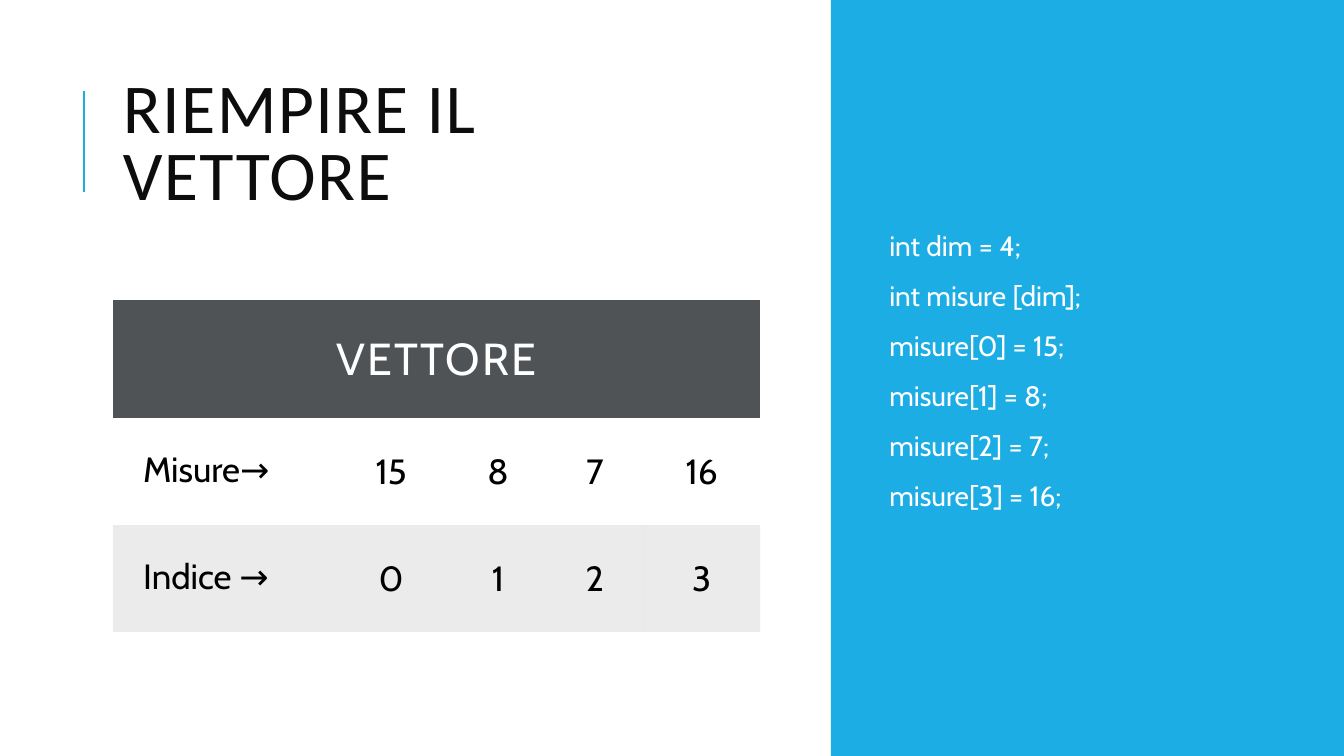
"""Build the slide "Riempire il vettore": an array table beside its code."""
from dataclasses import dataclass

from lxml import etree
from pptx import Presentation
from pptx.dml.color import RGBColor
from pptx.enum.shapes import MSO_CONNECTOR, MSO_SHAPE
from pptx.enum.text import MSO_ANCHOR, PP_ALIGN
from pptx.oxml.ns import qn
from pptx.util import Inches, Pt

STRAIGHT = MSO_CONNECTOR.STRAIGHT
RECTANGLE = MSO_SHAPE.RECTANGLE
TOP, MIDDLE = MSO_ANCHOR.TOP, MSO_ANCHOR.MIDDLE
LEFT, CENTER = PP_ALIGN.LEFT, PP_ALIGN.CENTER

TITLE = "RIEMPIRE IL VETTORE"
CODE = [
    "int dim = 4;",
    "int misure [dim];",
    "misure[0] = 15;",
    "misure[1] = 8;",
    "misure[2] = 7;",
    "misure[3] = 16;",
]
HEADER = "VETTORE"
ROWS = [
    ("Misure→", "15", "8", "7", "16"),
    ("Indice →", "0", "1", "2", "3"),
]

SLIDE_W, SLIDE_H = 13.33, 7.5
CONTENT_X, CONTENT_W = 1.12, 6.42
BOX_Y = 0.64
PANEL_X = 8.24
TABLE_Y = 2.98
COL_WIDTHS = (2.18, 1.16, 0.96, 0.96, 1.16)
ROW_HEIGHTS = (1.17, 1.06, 1.06)
CELL_INSET = 0.3
PLAIN_TABLE_STYLE = "{2D5ABB26-0587-4C30-8999-92F81FD0307C}"


@dataclass(frozen=True)
class Theme:
    accent: str = "1CADE4"
    header: str = "505356"
    ink: str = "000000"
    title_ink: str = "0D0D0D"
    light: str = "FFFFFF"
    band_alpha: int = 8
    title_font: str = "Calibri"
    body_font: str = "Cabin"
    title_size: int = 50
    header_size: int = 32
    cell_size: int = 25
    code_size: int = 20


THEME = Theme()


def add_run(p, text, font, size, color, spacing=0):
    r = p.add_run()
    r.text = text
    r.font.name = font
    r.font.size = Pt(size)
    r.font.color.rgb = RGBColor.from_string(color)
    if spacing:
        r.font._element.set("spc", str(round(spacing * 100)))


def paint(fill, color):
    fill.solid()
    fill.fore_color.rgb = RGBColor.from_string(color)


def add_box(s, x, y, w, h, inset_x):
    tf = s.shapes.add_textbox(Inches(x), Inches(y), Inches(w), Inches(h)).text_frame
    tf.word_wrap = True
    tf.vertical_anchor = MIDDLE
    tf.margin_left = tf.margin_right = Inches(inset_x)
    return tf


def add_title(s):
    rule = s.shapes.add_connector(
        STRAIGHT, Inches(0.83), Inches(1.9), Inches(0.83), Inches(0.9))
    rule.line.color.rgb = RGBColor.from_string(THEME.accent)
    rule.line.width = Pt(1.5)
    etree.SubElement(rule._element.spPr, qn("a:effectLst"))
    p = add_box(s, CONTENT_X, BOX_Y, CONTENT_W, 1.64, 0.1).paragraphs[0]
    p.line_spacing = 0.8
    add_run(p, TITLE, THEME.title_font, THEME.title_size, THEME.title_ink, 1)


def add_code(s):
    panel = s.shapes.add_shape(
        RECTANGLE, Inches(PANEL_X), 0, Inches(SLIDE_W - PANEL_X), Inches(SLIDE_H))
    panel.shadow.inherit = False
    paint(panel.fill, THEME.accent)
    panel.line.fill.background()
    tf = add_box(s, 8.77, BOX_Y, 3.86, 6.11, 0.05)
    for i, line in enumerate(CODE):
        p = tf.add_paragraph() if i else tf.paragraphs[0]
        p.line_spacing = 0.9
        p.space_before = Pt(12 if i else 0)
        p.space_after = Pt(2)
        add_run(p, line, THEME.body_font, THEME.code_size, THEME.light)


def fill_cell(cell, text, size, color, align=CENTER, anchor=MIDDLE, spacing=0):
    cell.margin_left = cell.margin_right = Inches(CELL_INSET)
    cell.margin_top = cell.margin_bottom = Inches(CELL_INSET)
    cell.vertical_anchor = anchor
    p = cell.text_frame.paragraphs[0]
    p.alignment = align
    add_run(p, text, THEME.body_font, size, color, spacing)


def shade_band(cell):
    paint(cell.fill, THEME.ink)
    color = cell._tc.tcPr.find(".//" + qn("a:srgbClr"))
    etree.SubElement(color, qn("a:alpha"), val=str(THEME.band_alpha * 1000))


def add_array_table(s):
    table = s.shapes.add_table(
        len(ROW_HEIGHTS), len(COL_WIDTHS), Inches(CONTENT_X), Inches(TABLE_Y),
        Inches(CONTENT_W), Inches(sum(ROW_HEIGHTS))).table
    table.first_row = table.horz_banding = False
    table._tbl.tblPr.find(qn("a:tableStyleId")).text = PLAIN_TABLE_STYLE
    for col, width in zip(table.columns, COL_WIDTHS):
        col.width = Inches(width)
    for row, height in zip(table.rows, ROW_HEIGHTS):
        row.height = Inches(height)

    header = table.cell(0, 0)
    header.merge(table.cell(0, len(COL_WIDTHS) - 1))
    fill_cell(header, HEADER, THEME.header_size, THEME.light, spacing=1.5)
    paint(header.fill, THEME.header)
    for i, values in enumerate(ROWS, start=1):
        for j, value in enumerate(values):
            cell = table.cell(i, j)
            align, anchor = (CENTER, MIDDLE) if j else (LEFT, TOP)
            fill_cell(cell, value, THEME.cell_size, THEME.ink, align, anchor)
            if i % 2:
                cell.fill.background()
            else:
                shade_band(cell)


def main():
    prs = Presentation()
    prs.slide_width, prs.slide_height = Inches(SLIDE_W), Inches(SLIDE_H)
    s = prs.slides.add_slide(prs.slide_layouts[6])
    paint(s.background.fill, THEME.light)
    add_title(s)
    add_code(s)
    add_array_table(s)
    prs.save("out.pptx")


if __name__ == "__main__":
    main()
